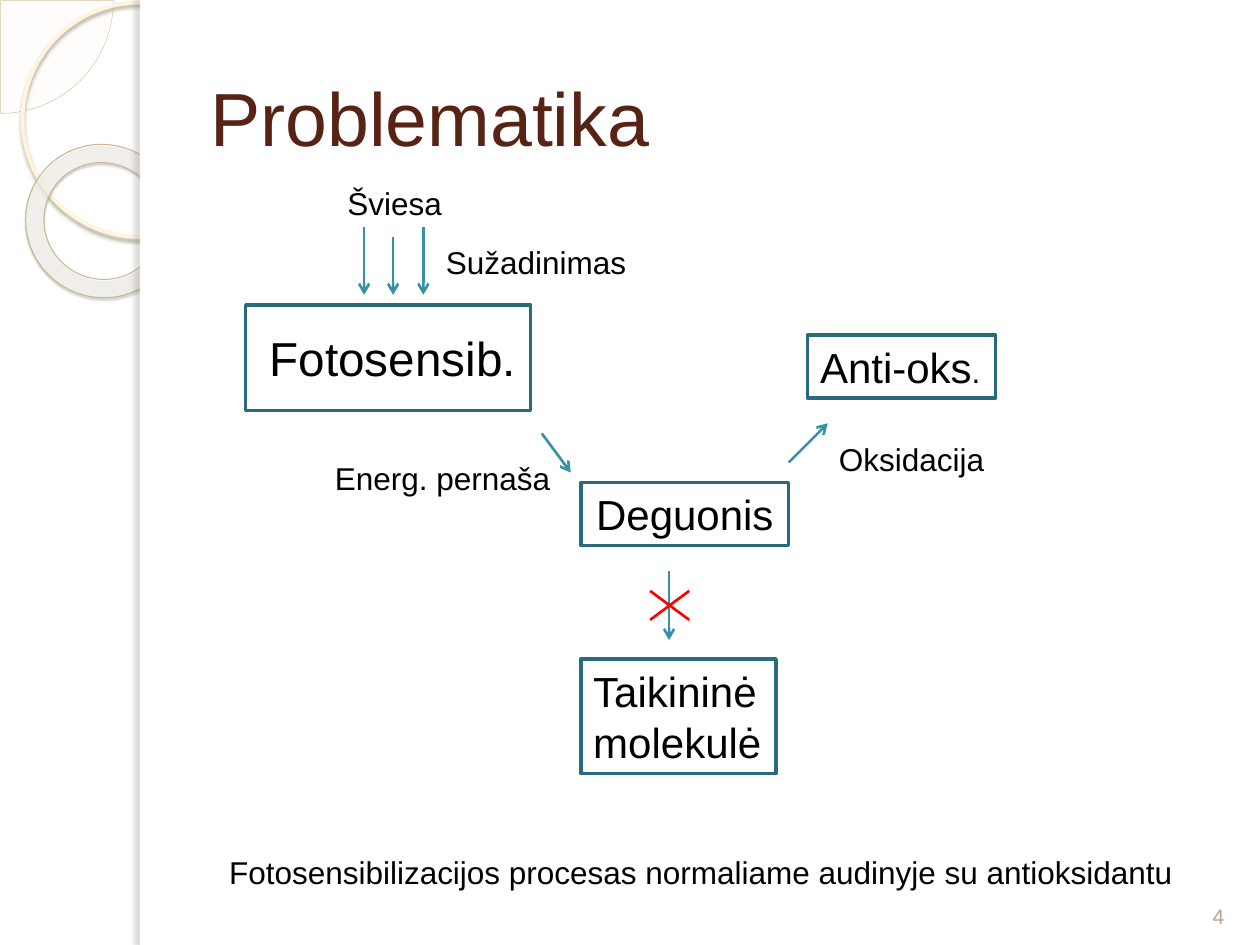
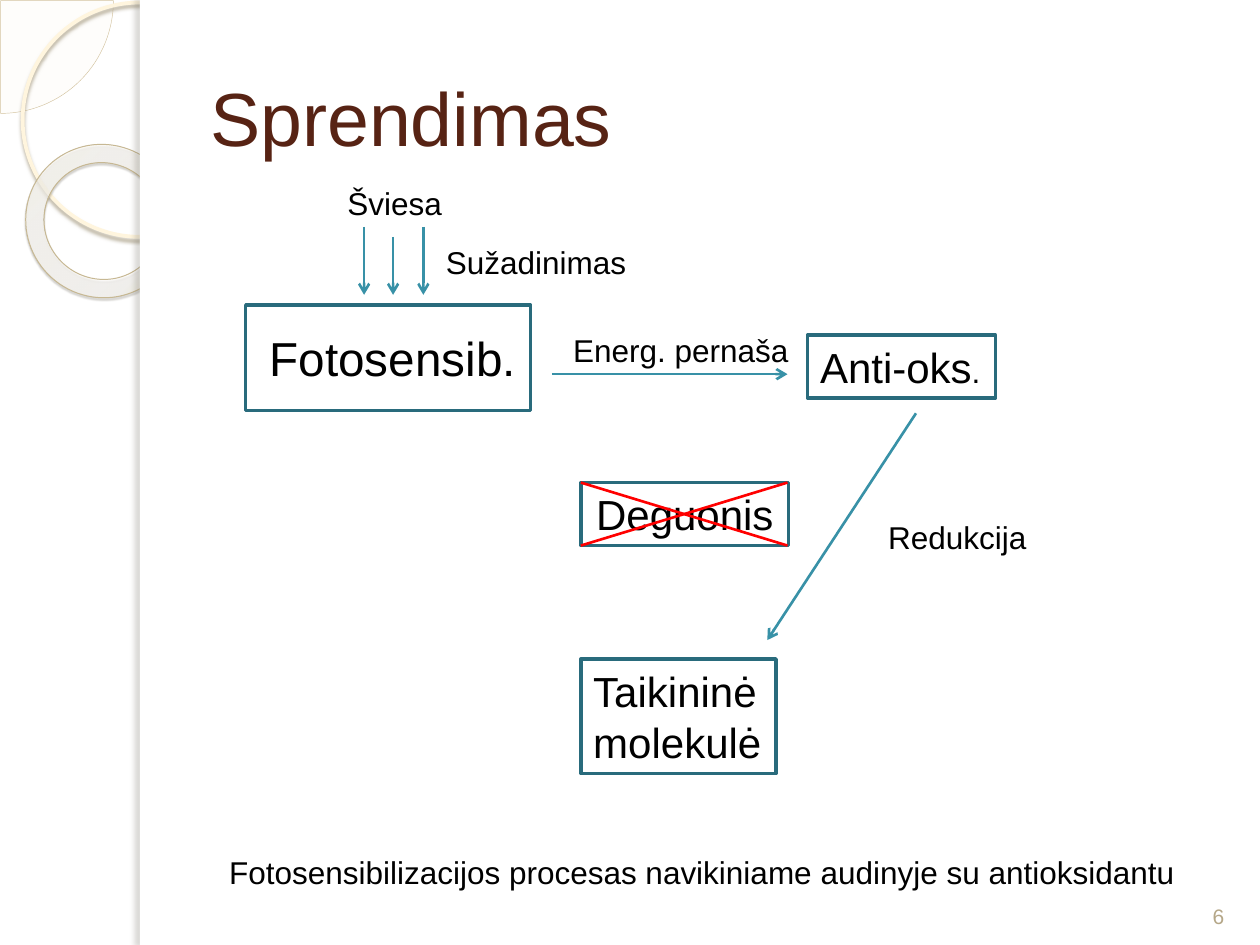
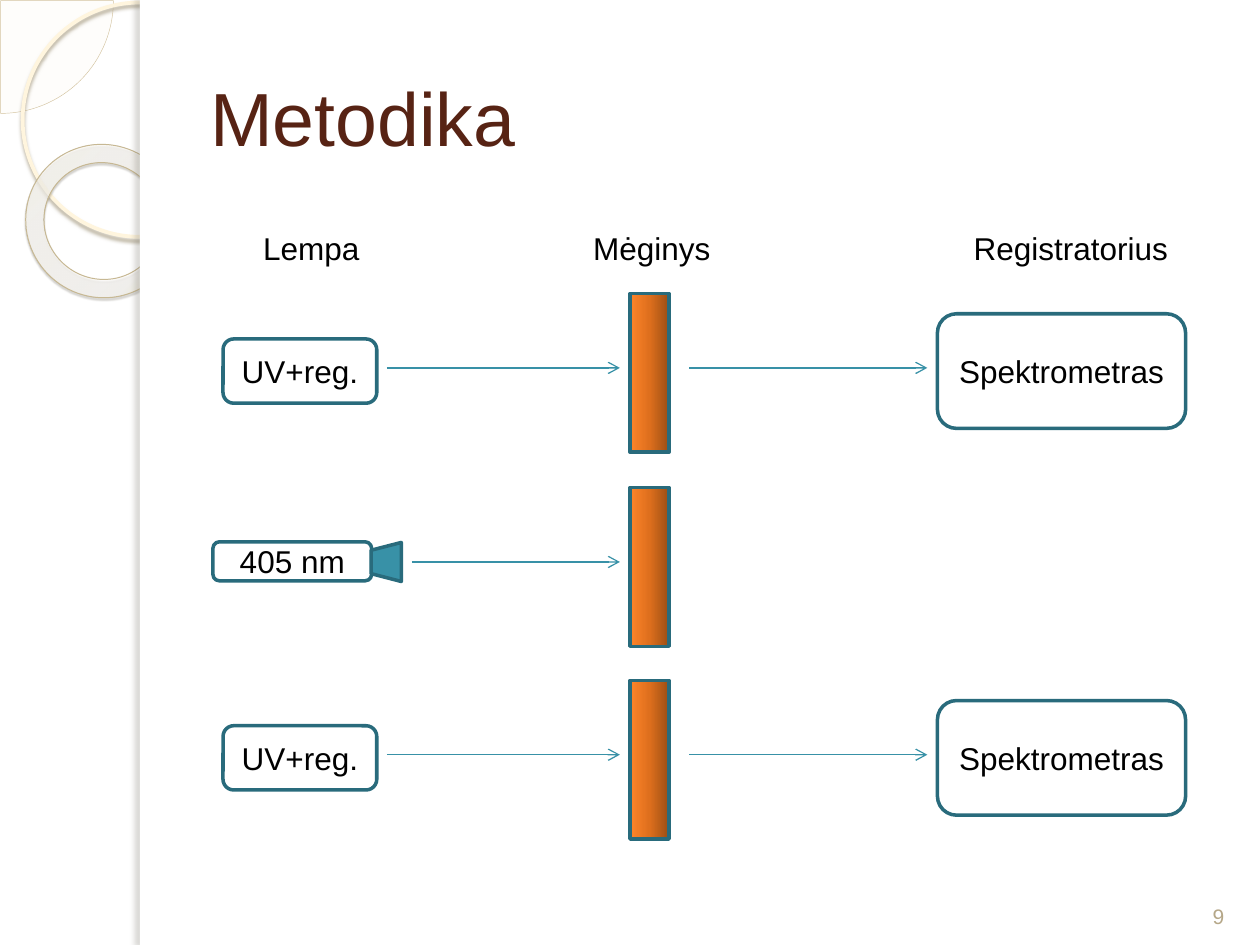
from pptx import Presentation
from pptx import oxml
from pptx import util as u
from pptx.dml.color import RGBColor
from pptx.enum import shapes, text
from pptx.oxml import ns

TITLE_BROWN = RGBColor(0x57, 0x23, 0x14)
NUMBER_TAN = RGBColor(0xB5, 0xA7, 0x88)
TEAL = RGBColor(0x38, 0x91, 0xA7)
DARK_TEAL = RGBColor(0x29, 0x6B, 0x7C)
RED = RGBColor(0xFF, 0x00, 0x00)
BLACK = RGBColor(0x00, 0x00, 0x00)
WHITE = RGBColor(0xFF, 0xFF, 0xFF)
PIE_CREAM = RGBColor(0xFE, 0xFA, 0xF4)
PIE_EDGE = RGBColor(0xD3, 0xC3, 0x9F)
RING_CREAM = RGBColor(0xFF, 0xF5, 0xDE)
DONUT_EDGE = RGBColor(0xC7, 0xB8, 0x93)
FONT = "Arial"
SHAPE = shapes.MSO_SHAPE
LEFT, CENTER = text.PP_ALIGN.LEFT, text.PP_ALIGN.CENTER

# Gradients that need three stops or transparency
SAMPLE_GRADIENT = f"""<a:gradFill {ns.nsdecls('a')}><a:gsLst>
<a:gs pos="0"><a:srgbClr val="9C4E14"/></a:gs>
<a:gs pos="50000"><a:srgbClr val="DE6F1D"/></a:gs>
<a:gs pos="100000"><a:srgbClr val="FF852A"/></a:gs>
</a:gsLst><a:lin ang="10800000" scaled="0"/></a:gradFill>"""
DONUT_GRADIENT = f"""<a:gradFill {ns.nsdecls('a')}><a:gsLst>
<a:gs pos="0"><a:srgbClr val="FFFCF6"><a:alpha val="70000"/></a:srgbClr></a:gs>
<a:gs pos="70000"><a:srgbClr val="FFFEFB"><a:alpha val="55000"/></a:srgbClr></a:gs>
<a:gs pos="100000"><a:srgbClr val="F0D28E"><a:alpha val="60000"/></a:srgbClr></a:gs>
</a:gsLst><a:path path="circle">
<a:fillToRect l="-408000" t="-50000" r="508000" b="150000"/></a:path></a:gradFill>"""


def put(slide, words, left, top, width, height, *, kind=None, fill=None, line=None,
        weight=2, shadow=None, size=18, color=BLACK, align=LEFT, wrap=False,
        anchor=text.MSO_ANCHOR.MIDDLE, inset=0.1):
    """Place a text box, or a preset shape when kind is given."""
    place = [u.Inches(n) for n in (left, top, width, height)]
    if kind is None:
        item = slide.shapes.add_textbox(*place)
    else:
        item = slide.shapes.add_shape(kind, *place)
        item.shadow.inherit = False
        item.fill.background()
        if isinstance(fill, str):
            properties = item._element.spPr
            properties.replace(properties.find(ns.qn("a:noFill")), oxml.parse_xml(fill))
        elif fill is not None:
            item.fill.solid()
            item.fill.fore_color.rgb = fill
        if line is None:
            item.line.fill.background()
        else:
            item.line.color.rgb = line
            item.line.width = u.Pt(weight)
        if shadow:
            tint, alpha, blur, distance, angle = shadow
            item._element.spPr.find(ns.qn("a:effectLst")).append(oxml.parse_xml(
                f'<a:outerShdw {ns.nsdecls("a")} blurRad="{u.Pt(blur)}" '
                f'dist="{u.Pt(distance)}" dir="{angle * 60000}" rotWithShape="0">'
                f'<a:srgbClr val="{tint}"><a:alpha val="{alpha * 1000}"/></a:srgbClr>'
                '</a:outerShdw>'))
    if words:
        frame = item.text_frame
        frame.word_wrap = wrap
        frame.vertical_anchor = anchor
        frame.margin_left = u.Inches(inset)
        frame.text = words
        for paragraph in frame.paragraphs:
            paragraph.alignment = align
            for run in paragraph.runs:
                run.font.name = FONT
                run.font.size = u.Pt(size)
                run.font.color.rgb = color
    return item


def connect(slide, x1, y1, x2, y2, *, color=TEAL, weight=1.5, arrow=True):
    link = slide.shapes.add_connector(
        shapes.MSO_CONNECTOR.STRAIGHT, *[u.Inches(n) for n in (x1, y1, x2, y2)])
    link.line.color.rgb = color
    link.line.width = u.Pt(weight)
    if arrow:
        link.line._get_or_add_ln().append(
            oxml.parse_xml(f'<a:tailEnd {ns.nsdecls("a")} type="arrow"/>'))
    link._element.spPr.append(oxml.parse_xml(f'<a:effectLst {ns.nsdecls("a")}/>'))


deck = Presentation()
deck.slide_width, deck.slide_height = u.Inches(10), u.Inches(7.5)

# Shared side decoration, title and slide number
pages = []
for title, number in (("Problematika", "4"), ("Sprendimas", "6"), ("Metodika", "9")):
    page = deck.slides.add_slide(deck.slide_layouts[6])
    pages.append(page)
    quarter = put(page, "", -0.89, -0.89, 1.79, 1.79, kind=SHAPE.PIE,
                  fill=PIE_CREAM, line=PIE_EDGE, weight=0.25)
    quarter.adjustments[0], quarter.adjustments[1] = 0, 54.02
    tint = quarter._element.spPr.find(ns.qn("a:solidFill"))[0]
    tint.append(oxml.parse_xml(f'<a:alpha {ns.nsdecls("a")} val="33000"/>'))
    put(page, "", 0.18, 0.02, 1.86, 1.86, kind=SHAPE.OVAL, line=RING_CREAM,
        weight=2.15, shadow=("B0A68F", 85, 2, 2, 90))
    donut = put(page, "", 0.2, 1.15, 1.23, 1.21, kind=SHAPE.DONUT, fill=DONUT_GRADIENT,
                line=DONUT_EDGE, weight=0.58, shadow=("5A5444", 35, 1, 1.2, 75))
    donut.adjustments[0] = 0.12
    donut.rotation = 38.6
    put(page, "", 1.11, 0, 8.89, 7.5, kind=SHAPE.RECTANGLE, fill=WHITE)
    put(page, "", 1.11, 0, 0.08, 7.5, kind=SHAPE.RECTANGLE, fill=WHITE,
        shadow=("736F63", 25, 3, 3, 180))
    put(page, title, 1.57, 0.3, 8.2, 1.25, size=43, color=TITLE_BROWN, wrap=True)
    put(page, number, 9.42, 6.9, 0.5, 0.52, size=12, color=NUMBER_TAN, align=CENTER,
        wrap=True, anchor=text.MSO_ANCHOR.BOTTOM)
problem, solution, method = pages

# Molecules and light, the same on the problem and solution slides
for page in (problem, solution):
    frame_style = dict(kind=SHAPE.RECTANGLE, line=DARK_TEAL)
    put(page, "Fotosensib.", 1.95, 2.42, 2.26, 0.84, size=27.2, wrap=True,
        inset=0.19, **frame_style)
    antioxidant = put(page, "Anti-oks", 6.41, 2.66, 1.49, 0.5, size=24, **frame_style)
    period = antioxidant.text_frame.paragraphs[0].add_run()
    period.text = "."
    period.font.name, period.font.size = FONT, u.Pt(18)
    period.font.color.rgb = BLACK
    put(page, "Deguonis", 4.61, 3.83, 1.65, 0.5, size=24, align=CENTER, wrap=True,
        **frame_style)
    put(page, "Taikininė\nmolekulė", 4.61, 5.23, 1.55, 0.91, size=24, **frame_style)
    put(page, "Šviesa", 2.66, 1.41, 0.96, 0.4)
    put(page, "Sužadinimas", 3.44, 1.88, 1.65, 0.4)
    for ray_x, ray_top in ((2.89, 1.8), (3.12, 1.88), (3.36, 1.8)):
        connect(page, ray_x, ray_top, ray_x, 2.34)

# Processes, crossed-out parts and captions: (arrows, cross, labels)
processes = (
    (problem,
     ((4.3, 3.44, 4.53, 3.75), (6.26, 3.67, 6.57, 3.36), (5.31, 4.53, 5.31, 5.08)),
     (5.16, 4.69, 5.47, 4.92),
     (("Energ. pernaša", 2.56, 3.59, 1.93), ("Oksidacija", 6.56, 3.44, 1.37),
      ("Fotosensibilizacijos procesas normaliame audinyje su antioksidantu",
       1.72, 6.72, 7.76))),
    (solution,
     ((4.38, 2.97, 6.25, 2.97), (7.27, 3.28, 6.09, 5.08)),
     (4.61, 3.83, 6.25, 4.33),
     (("Energ. pernaša", 4.45, 2.58, 1.93), ("Redukcija", 6.95, 4.06, 1.31),
      ("Fotosensibilizacijos procesas navikiniame audinyje su antioksidantu",
       1.72, 6.72, 7.78))),
)
for page, arrows, (x1, y1, x2, y2), labels in processes:
    for ends in arrows:
        connect(page, *ends)
    connect(page, x1, y2, x2, y1, color=RED, arrow=False)
    connect(page, x2, y2, x1, y1, color=RED, arrow=False)
    for words, left, top, width in labels:
        put(page, words, left, top, width, 0.4)

# Method: column headings
for heading, left, width in (("Lempa", 1.99, 0.97), ("Mėginys", 4.61, 1.14),
                             ("Registratorius", 7.63, 1.76)):
    put(method, heading, left, 1.77, width, 0.4)

# Method: one row per step, from lamp through sample to recorder
device_style = dict(kind=SHAPE.ROUNDED_RECTANGLE, fill=WHITE, line=DARK_TEAL,
                    align=CENTER, wrap=True)
for row_top, lamp in ((2.33, "UV+reg."), (3.87, "405 nm"), (5.4, "UV+reg.")):
    beam_y = row_top + 0.59
    put(method, "", 5, row_top, 0.31, 1.26, kind=SHAPE.RECTANGLE,
        fill=SAMPLE_GRADIENT, line=DARK_TEAL)
    if lamp == "405 nm":
        put(method, lamp, 1.69, row_top + 0.43, 1.26, 0.31, **device_style)
        nozzle = put(method, "", 2.91, row_top + 0.47, 0.31, 0.24, fill=TEAL,
                     line=DARK_TEAL, kind=SHAPE.FLOWCHART_MANUAL_OPERATION)
        nozzle.rotation = 90
        connect(method, 3.27, beam_y, 4.92, beam_y, weight=0.75)
    else:
        put(method, lamp, 1.77, row_top + 0.36, 1.22, 0.51, **device_style)
        put(method, "Spektrometras", 7.44, row_top + 0.16, 1.97, 0.91, **device_style)
        connect(method, 3.07, beam_y, 4.92, beam_y, weight=0.75)
        connect(method, 5.47, beam_y, 7.36, beam_y, weight=0.75)

deck.save("out.pptx")
